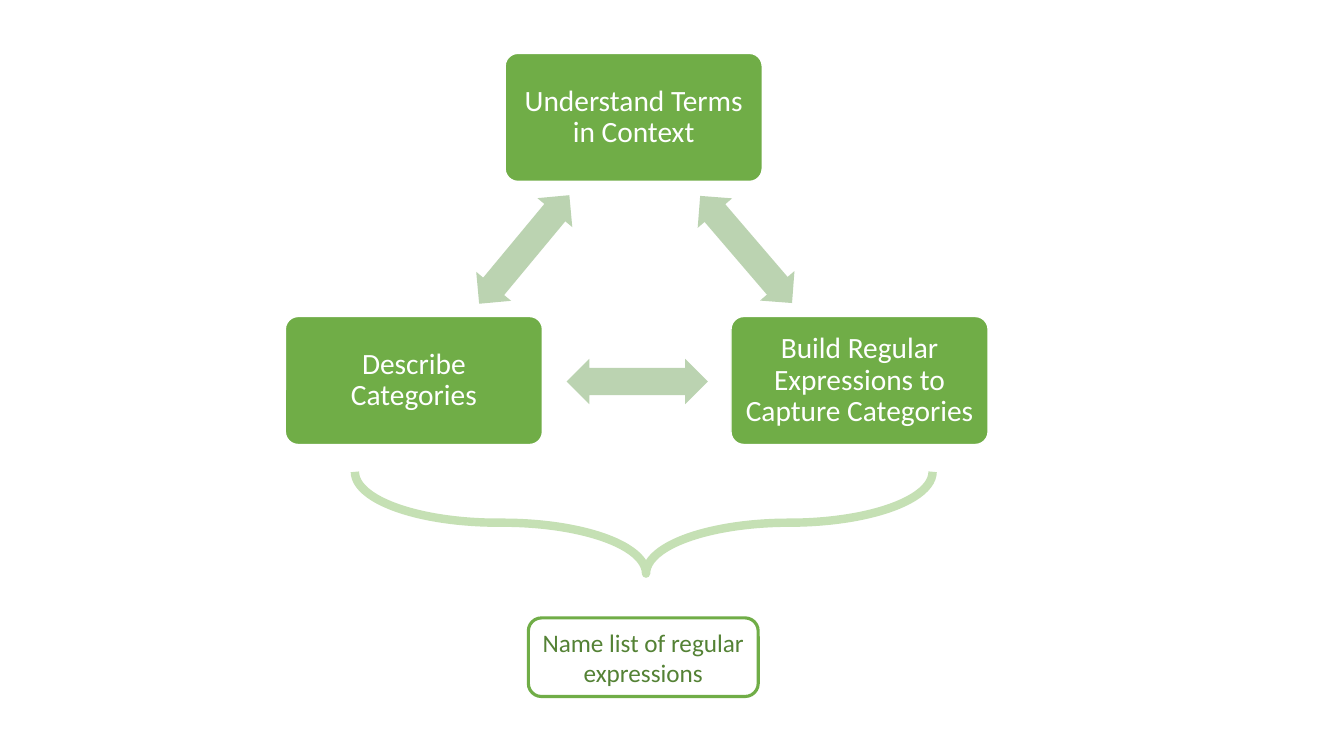
from dataclasses import dataclass
from pptx import Presentation
from pptx.dml.color import RGBColor
from pptx.enum import shapes, text
from pptx.util import Inches, Pt


@dataclass(frozen=True)
class Theme:
    """Colours, font and type sizes of the slide."""
    font: str = "Calibri"
    green: str = "70AD47"
    sage: str = "BBD3B1"
    pale: str = "C5E0B4"
    dark: str = "548235"
    white: str = "FFFFFF"
    step: float = 21
    note: float = 18


def write(frame, words, font, size, color, space=1.0, inset=(0.1, 0.05)):
    """Put centred, wrapped text in a frame."""
    frame.word_wrap = True
    frame.vertical_anchor = text.MSO_ANCHOR.MIDDLE
    frame.margin_left = frame.margin_right = Inches(inset[0])
    frame.margin_top = frame.margin_bottom = Inches(inset[1])
    para = frame.paragraphs[0]
    para.alignment = text.PP_ALIGN.CENTER
    para.line_spacing = space
    run = para.add_run()
    run.text = words
    run.font.name = font
    run.font.size = Pt(size)
    run.font.color.rgb = RGBColor.from_string(color)


class Board:
    """Draws styled elements on the current slide."""

    def __init__(self, slide, theme):
        """Keep the slide and its theme."""
        self.slide, self.theme = slide, theme

    def shape(self, kind, box, fill=None, line=None, width=1, turn=0, adj=()):
        """Add a flat preset shape."""
        item = self.slide.shapes.add_shape(kind, *map(Inches, box))
        item.shadow.inherit = False
        item.rotation = turn
        for i, value in enumerate(adj):
            item.adjustments[i] = value
        if fill:
            item.fill.solid()
            item.fill.fore_color.rgb = RGBColor.from_string(fill)
        else:
            item.fill.background()
        if line:
            item.line.color.rgb = RGBColor.from_string(line)
            item.line.width = Pt(width)
        else:
            item.line.fill.background()
        return item

    def step(self, left, top, words):
        """Add a filled step box."""
        t = self.theme
        item = self.shape(shapes.MSO_SHAPE.ROUNDED_RECTANGLE,
                          (left, top, 2.55, 1.27), t.green, t.white, adj=(0.1,))
        write(item.text_frame, words, t.font, t.step, t.white, 0.9, (0.09, 0.09))

    def arrow(self, left, top, turn):
        """Add a two-way arrow."""
        self.shape(shapes.MSO_SHAPE.LEFT_RIGHT_ARROW, (left, top, 1.4, 0.45),
                   self.theme.sage, turn=turn, adj=(0.6, 0.5))

    def brace(self, box):
        """Add a brace that points down."""
        self.shape(shapes.MSO_SHAPE.LEFT_BRACE, box, line=self.theme.pale,
                   width=6, turn=270, adj=(1.413, 0.504))

    def note(self, box, words):
        """Add an outlined result box."""
        t = self.theme
        item = self.shape(shapes.MSO_SHAPE.ROUNDED_RECTANGLE, box,
                          t.white, t.green, 2.25)
        write(item.text_frame, words, t.font, t.note, t.dark)


def main():
    """Build and save the slide."""
    deck = Presentation()
    deck.slide_width, deck.slide_height = Inches(13.33), Inches(7.5)
    board = Board(deck.slides.add_slide(deck.slide_layouts[6]), Theme())
    for left, top, words in (
        (5.01, 0.53, "Understand Terms in Context"),
        (7.25, 3.14, "Build Regular Expressions to Capture Categories"),
        (2.83, 3.14, "Describe Categories"),
    ):
        board.step(left, top, words)
    for left, top, turn in ((6.7, 2.25, 49.4), (5.62, 3.56, 180), (4.5, 2.25, 309.7)):
        board.arrow(left, top, turn)
    board.brace((5.88, 2.32, 1.01, 5.73))
    board.note((5.24, 6.13, 2.28, 0.78), "Name list of regular expressions")
    deck.save("out.pptx")


if __name__ == "__main__":
    main()
